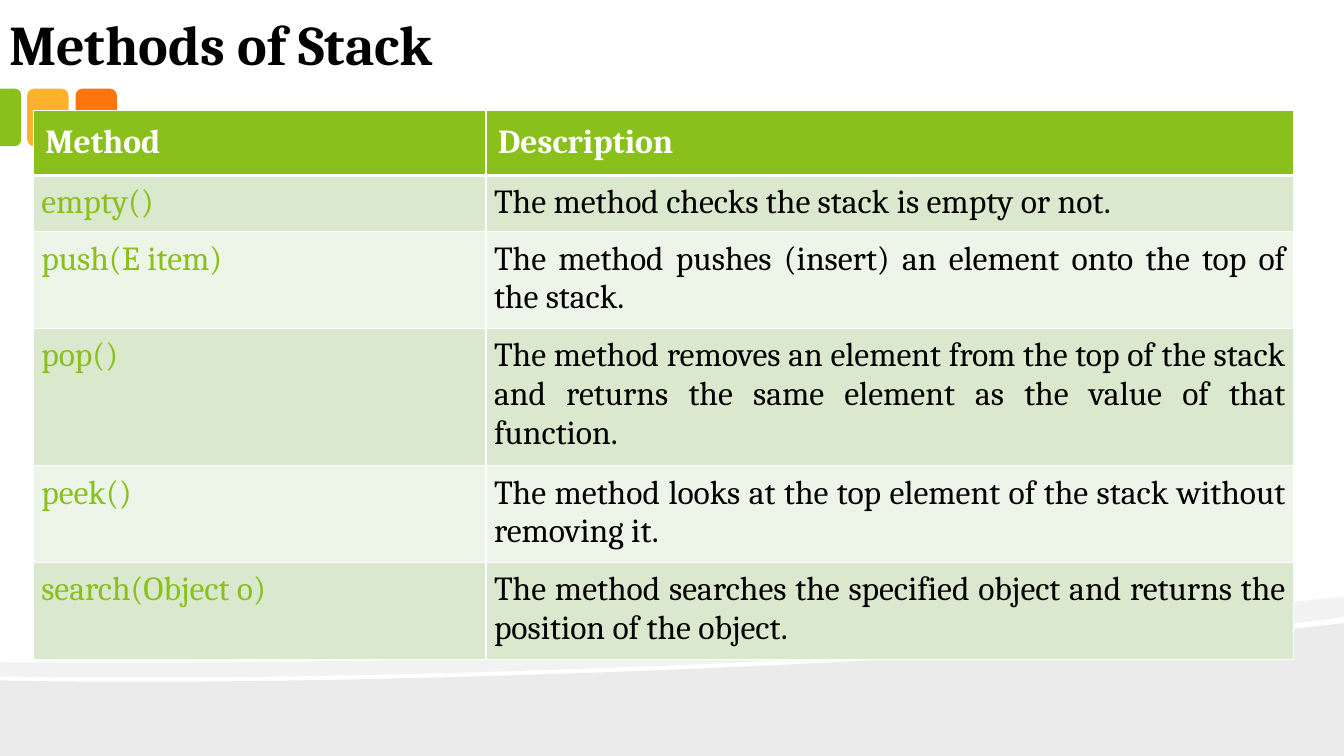
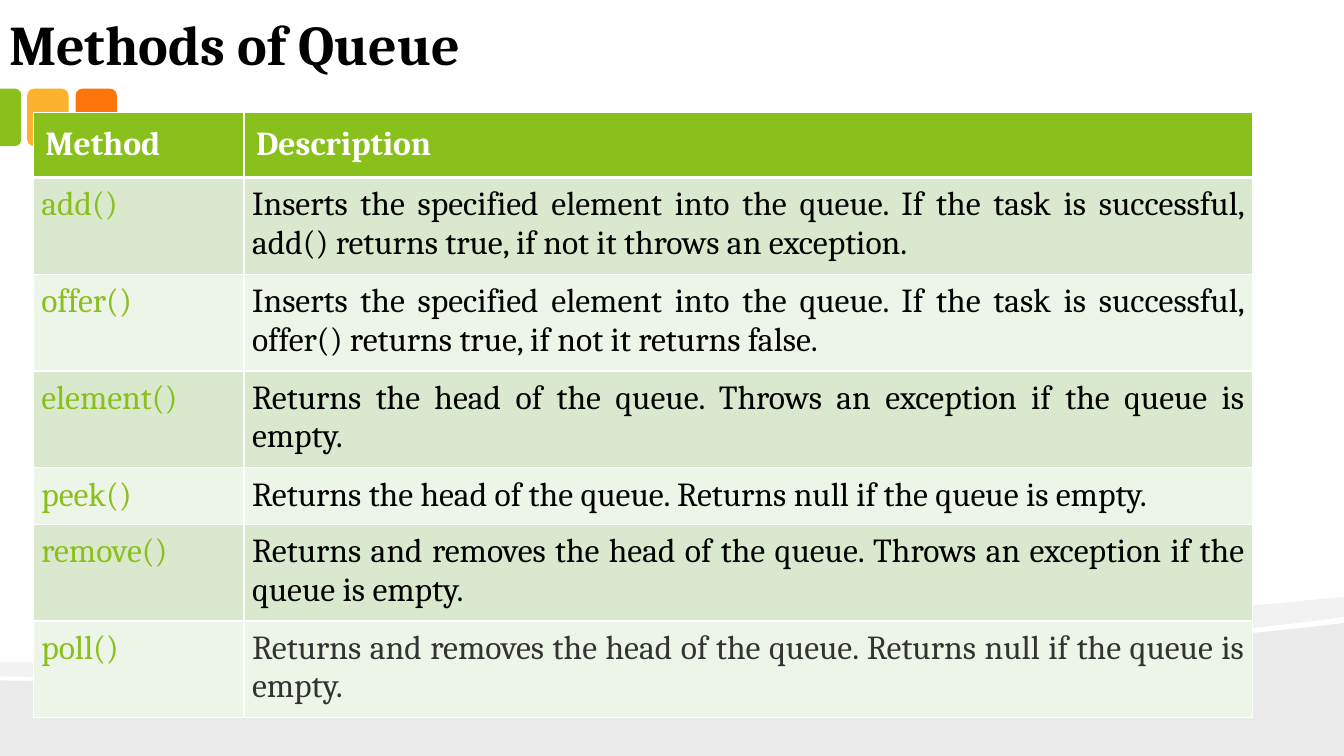
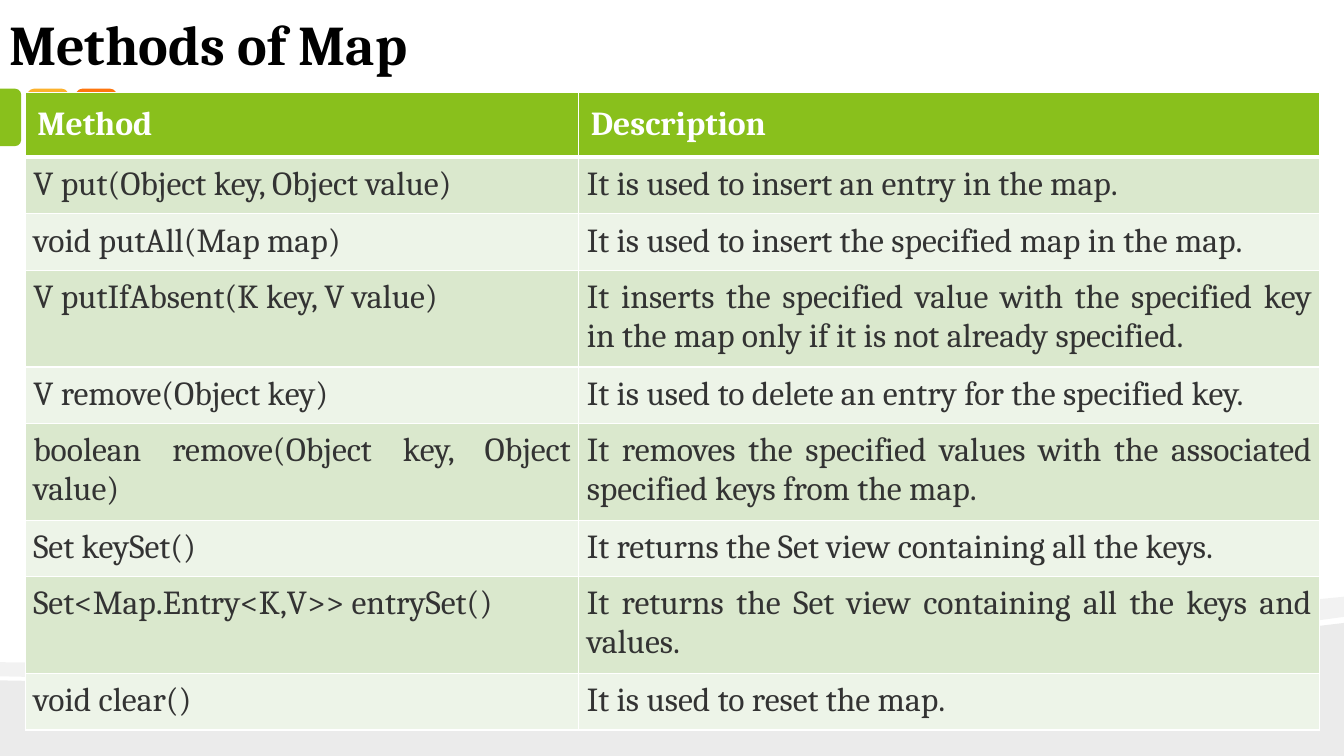
"""Build three slides that tabulate the methods of Stack, Queue and Map."""
import pptx
import pptx.dml.color
import pptx.enum.shapes
import pptx.enum.text
import pptx.oxml
import pptx.oxml.ns
import pptx.util

Inches = pptx.util.Inches
SHAPE = pptx.enum.shapes.MSO_SHAPE
ALIGN = pptx.enum.text.PP_ALIGN
ANCHOR = pptx.enum.text.MSO_ANCHOR

FONT = "Cambria"
COLORS = {
    "green": "89C01C", "amber": "FCB22C", "orange": "FE750E",
    "band_dark": "DAE8CD", "band_light": "EDF4E8",
    "white": "FFFFFF", "black": "000000", "gray": "333333",
}
ROW_HEIGHT = 0.56
CURVE_STEPS = 24

WAVE = [(13.33, 6.18), (13.33, 7.5), (0, 7.5), (0, 6.75),
        [(3.52, 6.83), (10.42, 6.55), (13.33, 6.18)]]
RIBBON = [(13.33, 5.92), (13.33, 6.12),
          [(12.55, 6.23), (11.49, 6.33), (10.29, 6.41)],
          [(6.98, 6.63), (2.58, 6.77), (0, 6.71)],
          (0, 6.57),
          [(6.52, 6.62), (9.71, 6.27), (13.33, 5.92)]]

STACK = [
    ("empty()", "The method checks the stack is empty or not."),
    ("push(E item)", "The method pushes (insert) an element onto the top of the stack."),
    ("pop()", "The method removes an element from the top of the stack and returns "
              "the same element as the value of that function."),
    ("peek()", "The method looks at the top element of the stack without removing it."),
    ("search(Object o)", "The method searches the specified object and returns the "
                         "position of the object."),
]
QUEUE = [
    ("add()", "Inserts the specified element into the queue. If the task is successful, "
              "add() returns true, if not it throws an exception."),
    ("offer()", "Inserts the specified element into the queue. If the task is successful, "
                "offer() returns true, if not it returns false."),
    ("element()", "Returns the head of the queue. Throws an exception if the queue is empty."),
    ("peek()", "Returns the head of the queue. Returns null if the queue is empty."),
    ("remove()", "Returns and removes the head of the queue. Throws an exception if the "
                 "queue is empty."),
    ("poll()", "Returns and removes the head of the queue. Returns null if the queue is "
               "empty.", "gray"),
]
MAP = [
    ("V put(Object key, Object value)", "It is used to insert an entry in the map."),
    ("void putAll(Map map)", "It is used to insert the specified map in the map."),
    ("V putIfAbsent(K key, V value)", "It inserts the specified value with the specified "
                                      "key in the map only if it is not already specified."),
    ("V remove(Object key)", "It is used to delete an entry for the specified key."),
    ("boolean remove(Object key, Object value)", "It removes the specified values with the "
                                                 "associated specified keys from the map."),
    ("Set keySet()", "It returns the Set view containing all the keys."),
    ("Set<Map.Entry<K,V>> entrySet()", "It returns the Set view containing all the keys "
                                       "and values."),
    ("void clear()", "It is used to reset the map."),
]


def rgb(name):
    return pptx.dml.color.RGBColor.from_string(COLORS[name])


def set_text(tf, text, size=24, color="black", bold=False, align=ALIGN.LEFT):
    p = tf.paragraphs[0]
    p.alignment = align
    r = p.add_run()
    r.text = text
    r.font.name = FONT
    r.font.size = pptx.util.Pt(size)
    r.font.bold = bold
    r.font.color.rgb = rgb(color)


def set_margins(box, x, y):
    box.margin_left = box.margin_right = Inches(x)
    box.margin_top = box.margin_bottom = Inches(y)


def paint(sp, color, alpha=None):
    sp.shadow.inherit = False
    sp.line.fill.background()
    sp.fill.solid()
    sp.fill.fore_color.rgb = rgb(color)
    if alpha is not None:
        clr = sp.fill._xPr.find(".//" + pptx.oxml.ns.qn("a:srgbClr"))
        node = clr.makeelement(pptx.oxml.ns.qn("a:alpha"), {"val": str(alpha * 1000)})
        clr.append(node)


def bezier(start, c1, c2, end):
    points = []
    for i in range(1, CURVE_STEPS + 1):
        t = i / CURVE_STEPS
        u = 1 - t
        points.append(tuple(
            u**3 * a + 3 * u * u * t * b + 3 * u * t * t * c + t**3 * d
            for a, b, c, d in zip(start, c1, c2, end)))
    return points


def add_outline(s, outline, alpha):
    points = []
    for part in outline:
        points += bezier(points[-1], *part) if isinstance(part, list) else [part]
    emu = [(Inches(x), Inches(y)) for x, y in points]
    builder = s.shapes.build_freeform(*emu[0])
    builder.add_line_segments(emu[1:], close=True)
    paint(builder.convert_to_shape(), "black", alpha)


def add_tab(s, kind, x, y, w, h, color):
    sp = s.shapes.add_shape(kind, Inches(x), Inches(y), Inches(w), Inches(h))
    paint(sp, color)
    return sp


def add_background(s):
    add_outline(s, WAVE, 8)
    add_outline(s, RIBBON, 5)
    for x, color in ((0.75, "orange"), (0.27, "amber")):
        add_tab(s, SHAPE.ROUNDED_RECTANGLE, x, 0.88, 0.41, 0.57, color)
    sp = add_tab(s, SHAPE.ROUND_2_SAME_RECTANGLE, -0.18, 1.06, 0.57, 0.21, "green")
    sp.adjustments[0] = 0.29
    sp.rotation = 90


def add_title(s, text):
    sp = s.shapes.add_textbox(Inches(-0.04), 0, Inches(10.37), Inches(0.83))
    tf = sp.text_frame
    tf.word_wrap = True
    tf.vertical_anchor = ANCHOR.BOTTOM
    set_margins(tf, 0.13, 0.07)
    set_text(tf, text, size=40, bold=True)


def set_borders(cell, top, bottom):
    tc_pr = cell._tc.get_or_add_tcPr()
    for side, width in (("L", 1), ("R", 1), ("T", top), ("B", bottom)):
        tc_pr.append(pptx.oxml.parse_xml(
            f'<a:ln{side} {pptx.oxml.ns.nsdecls("a")} w="{pptx.util.Pt(width)}">'
            f'<a:solidFill><a:srgbClr val="{COLORS["white"]}"/></a:solidFill></a:ln{side}>'))


def fill_cell(cell, text, fill, margin, top=1, bottom=1, **text_format):
    set_margins(cell, margin, margin)
    set_borders(cell, top, bottom)
    cell.fill.solid()
    cell.fill.fore_color.rgb = rgb(fill)
    set_text(cell.text_frame, text, **text_format)


def add_method_table(s, x, y, widths, methods, method_color, text_color):
    rows = len(methods) + 1
    table = s.shapes.add_table(rows, 2, Inches(x), Inches(y), Inches(sum(widths)),
                               Inches(rows * ROW_HEIGHT)).table
    for column, width in zip(table.columns, widths):
        column.width = Inches(width)
    for row in table.rows:
        row.height = Inches(ROW_HEIGHT)
    for col, heading in enumerate(("Method", "Description")):
        fill_cell(table.cell(0, col), heading, "green", 0.12, bottom=3,
                  color="white", bold=True)
    for i, (method, description, *special) in enumerate(methods, 1):
        fill = "band_dark" if i % 2 else "band_light"
        colors = (method_color, special[0] if special else text_color)
        for col, text in enumerate((method, description)):
            fill_cell(table.cell(i, col), text, fill, 0.08, top=3 if i == 1 else 1,
                      color=colors[col], align=ALIGN.JUSTIFY)


def main():
    prs = pptx.Presentation()
    prs.slide_width, prs.slide_height = Inches(13.33), Inches(7.5)
    for title, *table in (
        ("Methods of Stack", 0.33, 1.1, (4.49, 8.01), STACK, "green", "black"),
        ("Methods of Queue", 0.33, 1.12, (2.09, 10), QUEUE, "green", "black"),
        ("Methods of Map", 0.25, 0.92, (5.49, 7.35), MAP, "gray", "gray"),
    ):
        s = prs.slides.add_slide(prs.slide_layouts[6])
        add_background(s)
        add_title(s, title)
        add_method_table(s, *table)
    prs.save("out.pptx")


if __name__ == "__main__":
    main()
